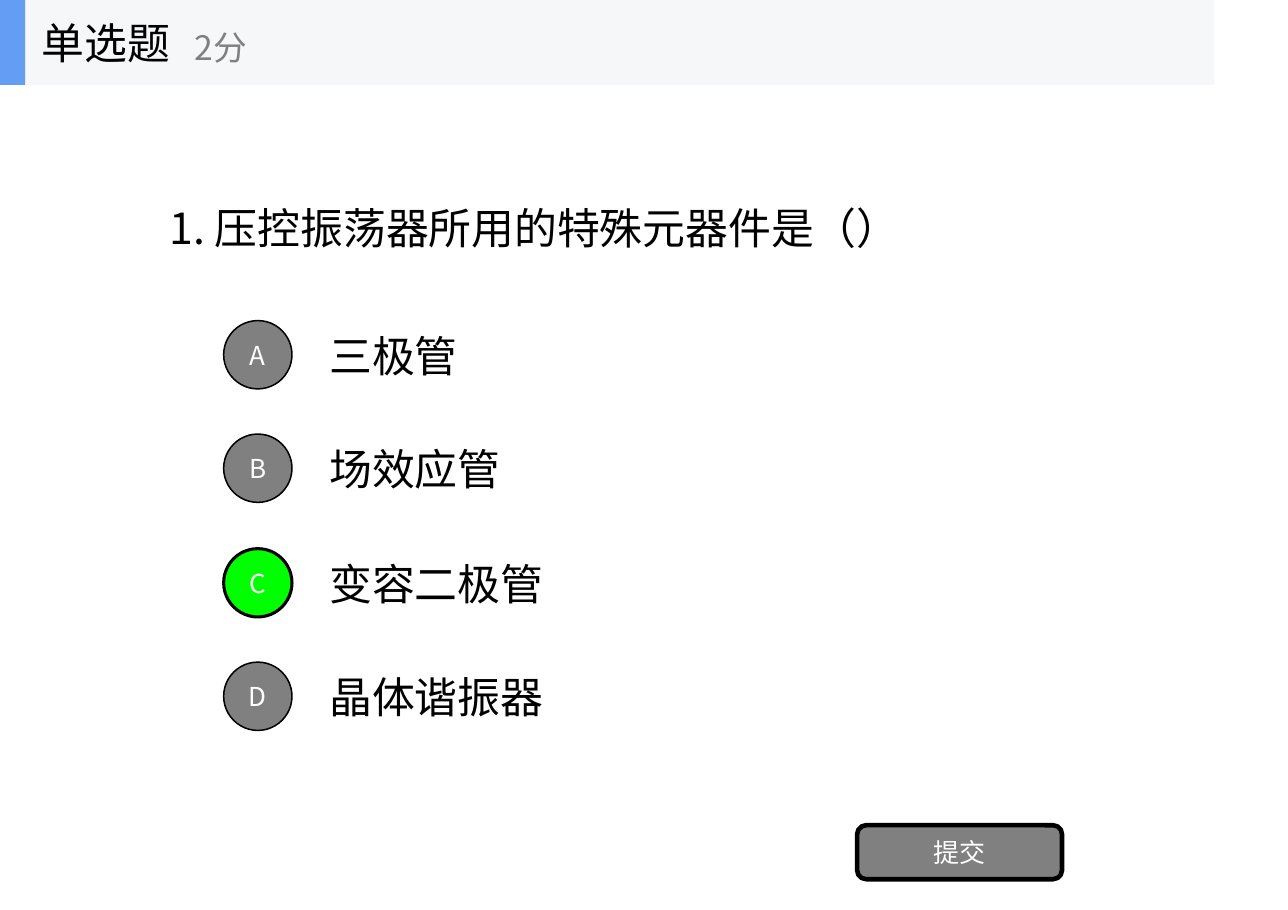
import dataclasses

import pptx
import pptx.dml.color
import pptx.enum.shapes
import pptx.enum.text
import pptx.oxml
import pptx.oxml.ns
import pptx.util

EMU_PER_PX = 9144  # 100 px to the inch
PRESET = pptx.enum.shapes.MSO_SHAPE
ALIGN = pptx.enum.text.PP_ALIGN


@dataclasses.dataclass(frozen=True)
class Theme:
    font: str = "Noto Sans CJK SC"
    ink: str = "000000"
    muted: str = "808080"
    light: str = "FFFFFF"
    correct: str = "00FF00"
    band: str = "F6F7F8"
    accent: str = "639EF4"
    body_size: int = 28
    score_size: int = 22
    button_size: int = 17


def px(*lengths):
    return [pptx.util.Emu(length * EMU_PER_PX) for length in lengths]


def rgb(value):
    return pptx.dml.color.RGBColor.from_string(value)


def assign(target, values):
    for name, value in values.items():
        setattr(target, name, value)


class QuizSlide:
    def __init__(self, deck, theme):
        self.theme = theme
        self.slide = deck.slides.add_slide(deck.slide_layouts[5])
        self.shapes = self.slide.shapes

    def set_text(self, shape, text, size, color, align=ALIGN.LEFT, inset=(10, 5)):
        """Put one formatted line of text into a shape, centred vertically."""
        across, down = px(*inset)
        frame = shape.text_frame
        assign(frame, {
            "text": text,
            "word_wrap": True,
            "auto_size": pptx.enum.text.MSO_AUTO_SIZE.NONE,
            "vertical_anchor": pptx.enum.text.MSO_ANCHOR.MIDDLE,
            "margin_left": across, "margin_right": across,
            "margin_top": down, "margin_bottom": down,
        })
        line = frame.paragraphs[0]
        line.alignment = align
        font = line.runs[0].font
        assign(font, {"name": self.theme.font, "size": pptx.util.Pt(size), "bold": False})
        font.color.rgb = rgb(color)
        east_asian = pptx.oxml.parse_xml(
            f'<a:ea {pptx.oxml.ns.nsdecls("a")} typeface="{self.theme.font}"/>')
        line.runs[0]._r.get_or_add_rPr().append(east_asian)

    def title(self, text, box):
        heading = self.shapes.title
        assign(heading, dict(zip(("left", "top", "width", "height"), px(*box))))
        self.set_text(heading, text, self.theme.body_size, self.theme.ink)

    def label(self, text, box, size, color, parent=None):
        textbox = (parent or self.shapes).add_textbox(*px(*box))
        self.set_text(textbox, text, size, color)

    def block(self, preset, box, fill, parent=None):
        shape = (parent or self.shapes).add_shape(preset, *px(*box))
        shape.shadow.inherit = False
        shape.fill.solid()
        shape.fill.fore_color.rgb = rgb(fill)
        shape.line.fill.background()
        return shape

    def button(self, preset, text, box, fill, border):
        shape = self.block(preset, box, fill)
        shape.line.color.rgb = rgb(self.theme.ink)
        shape.line.width = pptx.util.Pt(border)
        self.set_text(shape, text, self.theme.button_size, self.theme.light,
                      ALIGN.CENTER, (11, 6))

    def options(self, answers, correct):
        """Stack the answers, then their lettered circles, in equal rows."""
        first_top, last_top, row_height, circle = 284, 594, 77, 62
        tops = [first_top + round(i * (last_top - first_top) / (len(answers) - 1))
                for i in range(len(answers))]
        for top, answer in zip(tops, answers.values()):
            self.label(answer, (289, top, 771, row_height),
                       self.theme.body_size, self.theme.ink)
        for top, letter in zip(tops, answers):
            chosen = letter == correct
            self.button(PRESET.OVAL, letter,
                        (203, top + (row_height - circle) // 2, circle, circle),
                        self.theme.correct if chosen else self.theme.muted,
                        2 if chosen else 1)

    def header(self, kind, score):
        theme, group = self.theme, self.shapes.add_group_shape().shapes
        self.block(PRESET.RECTANGLE, (0, 0, 1102, 77), theme.band, group)
        self.block(PRESET.RECTANGLE, (0, 0, 23, 77), theme.accent, group)
        self.label(kind, (28, 0, 230, 77), theme.body_size, theme.ink, group)
        self.label(score, (167, 12, 275, 61), theme.score_size, theme.muted, group)


def main():
    deck = pptx.Presentation()
    deck.slide_width, deck.slide_height = px(1169, 826)
    theme = Theme()
    quiz = QuizSlide(deck, theme)
    quiz.title("1. 压控振荡器所用的特殊元器件是（）", (144, 77, 882, 258))
    quiz.options({"A": "三极管", "B": "场效应管", "C": "变容二极管", "D": "晶体谐振器"},
                 correct="C")
    quiz.button(PRESET.ROUNDED_RECTANGLE, "提交", (778, 749, 186, 49), theme.muted, 3)
    quiz.header("单选题", "2分")
    deck.save("out.pptx")


if __name__ == "__main__":
    main()
